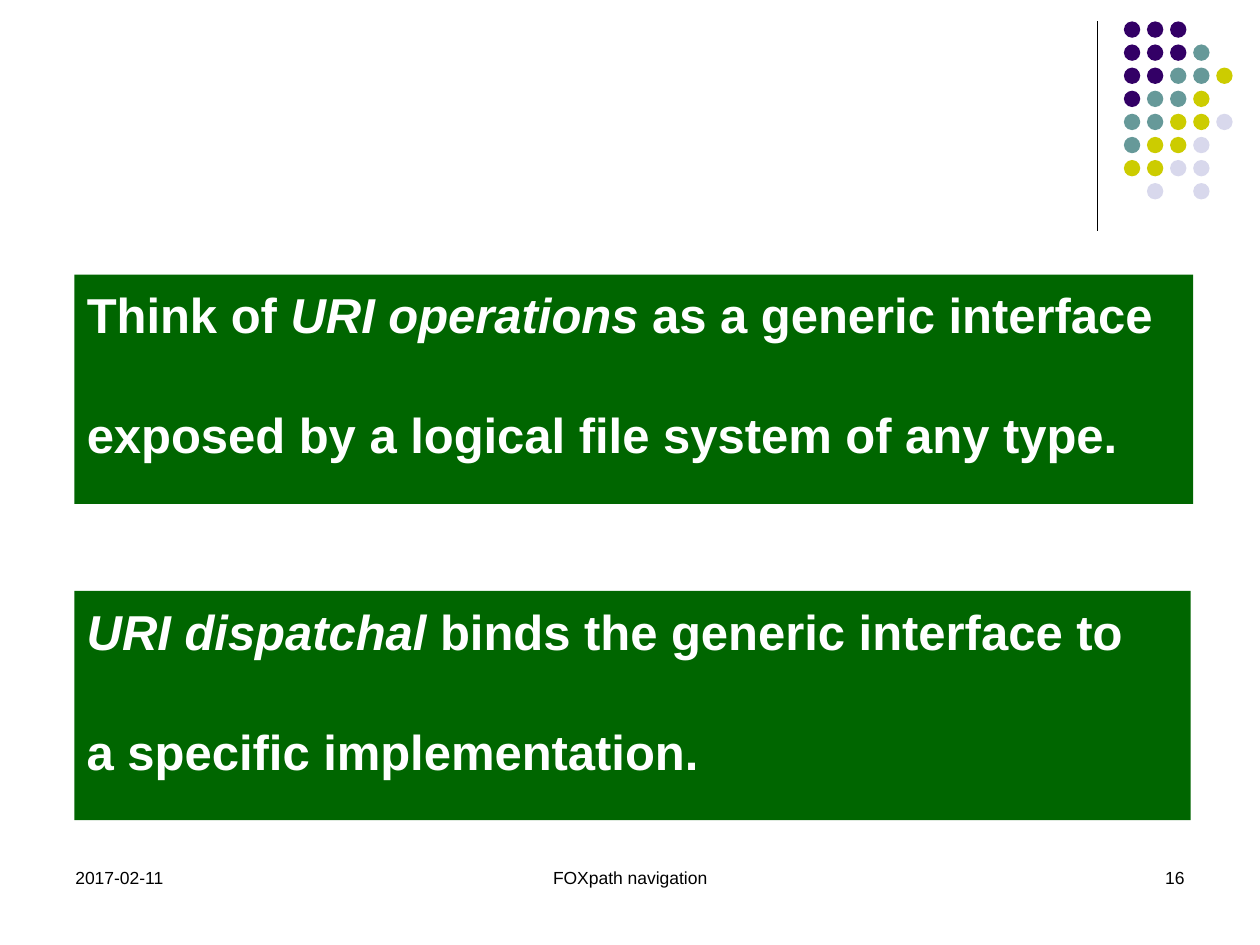
from dataclasses import dataclass

from lxml.etree import SubElement
from pptx import Presentation
from pptx.dml.color import RGBColor
from pptx.enum.shapes import MSO_CONNECTOR, MSO_SHAPE
from pptx.enum.text import MSO_ANCHOR, PP_ALIGN
from pptx.oxml.ns import qn
from pptx.shapes.base import BaseShape
from pptx.slide import Slide
from pptx.text.text import _Paragraph as Paragraph
from pptx.util import Inches, Pt

BLACK = RGBColor(0x00, 0x00, 0x00)
WHITE = RGBColor(0xFF, 0xFF, 0xFF)
GREEN = RGBColor(0x00, 0x66, 0x00)
PURPLE = RGBColor(0x33, 0x00, 0x66)
TEAL = RGBColor(0x66, 0x99, 0x99)
YELLOW = RGBColor(0xCC, 0xCC, 0x00)
LAVENDER = RGBColor(0xD8, 0xD8, 0xEC)

# Each letter is one dot of the ornament; a point leaves its place empty
DOT_COLORS = {"P": PURPLE, "T": TEAL, "Y": YELLOW, "L": LAVENDER}
DOT_ROWS = ["PPP..", "PPPT.", "PPTTY", "PTTY.", "TTYYL", "TYYL.", "YYLL.", ".L.L."]
DOT_LEFT, DOT_TOP, DOT_SIZE = 8.92, 0.17, 0.13
DOT_PITCH = 0.55 / 3

STATEMENT_FORMAT = {"name": "Arial", "size": Pt(28), "bold": True}
FOOTER_FORMAT = {"name": "Arial", "size": Pt(10)}


@dataclass
class Span:
    text: str
    italic: bool = False


@dataclass
class Statement:
    top: float
    width: float
    lines: list[list[Span]]


@dataclass
class Footer:
    left: float
    width: float
    text: str
    alignment: PP_ALIGN


STATEMENTS = [
    Statement(2.18, 8.88, [
        [Span("Think of "), Span("URI operations", italic=True),
         Span(" as a generic interface")],
        [Span("exposed by a logical file system of any type.")],
    ]),
    Statement(4.69, 8.86, [
        [Span("URI dispatchal", italic=True), Span(" binds the generic interface to")],
        [Span("a specific implementation.")],
    ]),
]

FOOTERS = [
    Footer(0.5, 2.33, "2017-02-11", PP_ALIGN.LEFT),
    Footer(3.19, 3.62, "FOXpath navigation", PP_ALIGN.CENTER),
    Footer(7.17, 2.33, "16", PP_ALIGN.RIGHT),
]


def add_span(para: Paragraph, span: Span, font_format: dict, color: RGBColor) -> None:
    run = para.add_run()
    run.text = span.text
    for attribute, value in font_format.items():
        setattr(run.font, attribute, value)
    run.font.italic = span.italic
    run.font.color.rgb = color


def add_filled_shape(page: Slide, kind: MSO_SHAPE, left: float, top: float,
                     width: float, height: float, color: RGBColor) -> BaseShape:
    shape = page.shapes.add_shape(
        kind, Inches(left), Inches(top), Inches(width), Inches(height))
    shape.shadow.inherit = False
    shape.fill.solid()
    shape.fill.fore_color.rgb = color
    shape.line.fill.background()
    return shape


def add_divider(page: Slide) -> None:
    line = page.shapes.add_connector(
        MSO_CONNECTOR.STRAIGHT, Inches(8.71), Inches(0.17), Inches(8.71), Inches(1.83))
    line.line.color.rgb = BLACK
    line.line.width = Pt(0.75)
    SubElement(line._element.spPr, qn("a:effectLst"))


def add_dots(page: Slide) -> None:
    for row, letters in enumerate(DOT_ROWS):
        for column, letter in enumerate(letters):
            if letter in DOT_COLORS:
                add_filled_shape(
                    page, MSO_SHAPE.OVAL, DOT_LEFT + column * DOT_PITCH,
                    DOT_TOP + row * DOT_PITCH, DOT_SIZE, DOT_SIZE, DOT_COLORS[letter])


def add_statement(page: Slide, statement: Statement) -> None:
    box = add_filled_shape(page, MSO_SHAPE.RECTANGLE, 0.59, statement.top,
                           statement.width, 1.82, GREEN)
    frame = box.text_frame
    frame.word_wrap = False
    frame.vertical_anchor = MSO_ANCHOR.TOP
    frame.margin_top = Inches(0.08)
    for index, spans in enumerate(statement.lines):
        para = frame.add_paragraph() if index else frame.paragraphs[0]
        para.alignment = PP_ALIGN.LEFT
        if index:
            para.space_before = Pt(35)
        for span in spans:
            add_span(para, span, STATEMENT_FORMAT, WHITE)


def add_footer(page: Slide, footer: Footer) -> None:
    box = page.shapes.add_textbox(
        Inches(footer.left), Inches(6.83), Inches(footer.width), Inches(0.5))
    box.text_frame.word_wrap = True
    para = box.text_frame.paragraphs[0]
    para.alignment = footer.alignment
    add_span(para, Span(footer.text), FOOTER_FORMAT, BLACK)


def main() -> None:
    deck = Presentation()
    deck.slide_width, deck.slide_height = Inches(10), Inches(7.5)
    page = deck.slides.add_slide(deck.slide_layouts[6])

    # Corner ornament
    add_divider(page)
    add_dots(page)

    # Footer line
    for footer in FOOTERS:
        add_footer(page, footer)

    # Key statements
    for statement in STATEMENTS:
        add_statement(page, statement)

    deck.save("out.pptx")


if __name__ == "__main__":
    main()
